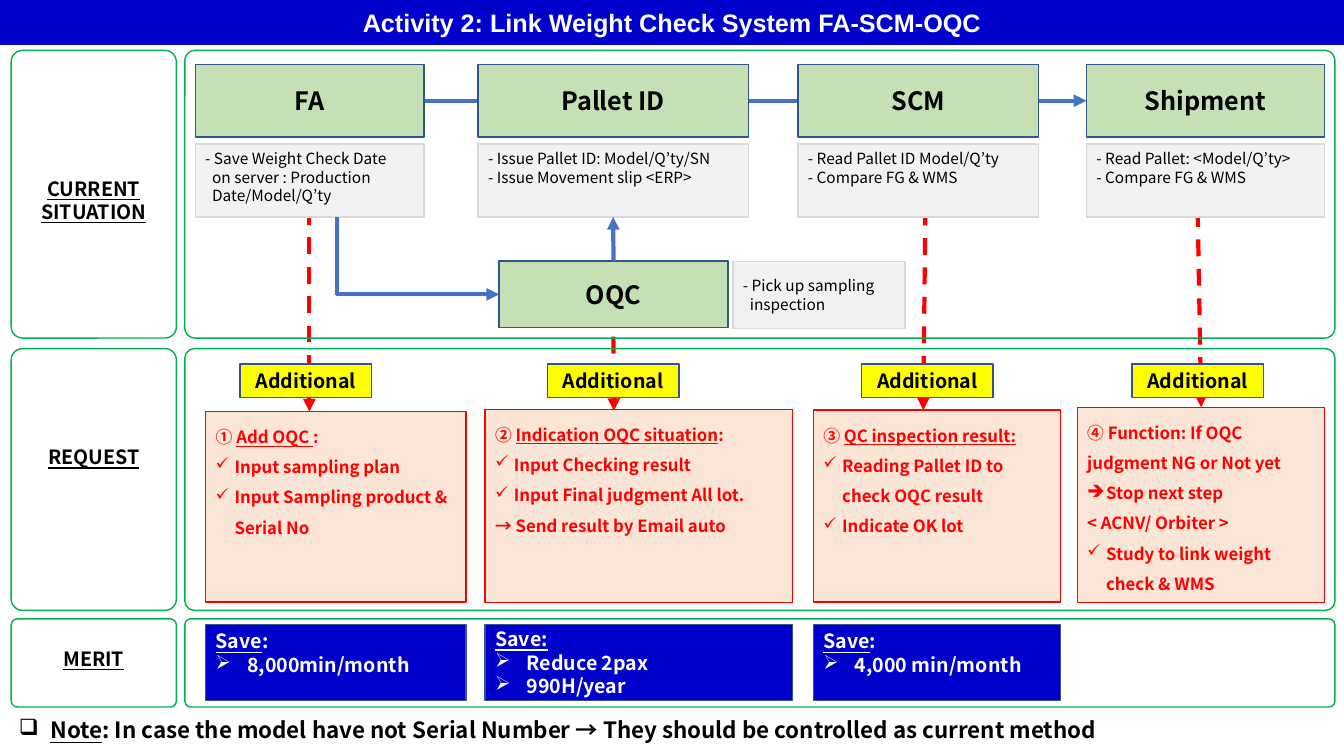
from lxml import etree
from pptx import Presentation
from pptx.dml.color import RGBColor
from pptx.enum.dml import MSO_LINE
from pptx.enum.shapes import MSO_CONNECTOR, MSO_SHAPE
from pptx.enum.text import MSO_ANCHOR, PP_ALIGN
from pptx.oxml.ns import qn
from pptx.util import Pt

RECT, ROUNDED = MSO_SHAPE.RECTANGLE, MSO_SHAPE.ROUNDED_RECTANGLE
STRAIGHT, DASH = MSO_CONNECTOR.STRAIGHT, MSO_LINE.DASH
TOP, MIDDLE = MSO_ANCHOR.TOP, MSO_ANCHOR.MIDDLE
LEFT, CENTER = PP_ALIGN.LEFT, PP_ALIGN.CENTER
SIDE_TOP, SIDE_LEFT, SIDE_BOTTOM, SIDE_RIGHT = range(4)

BLACK = RGBColor(0, 0, 0)
WHITE = RGBColor(0xFF, 0xFF, 0xFF)
RED = RGBColor(0xFF, 0, 0)
NAVY = RGBColor(0, 0, 0xCC)
BLUE = RGBColor(0x44, 0x72, 0xC4)
OUTLINE = RGBColor(0x32, 0x54, 0x91)
LEAF = RGBColor(0xC5, 0xE0, 0xB4)
GREEN = RGBColor(0, 0xB0, 0x50)
PALE_GRAY = RGBColor(0xF2, 0xF2, 0xF2)
GRAY = RGBColor(0xD9, 0xD9, 0xD9)
PEACH = RGBColor(0xFB, 0xE5, 0xD6)
YELLOW = RGBColor(0xFF, 0xFF, 0)

BODY_FONT = "Noto Sans CJK JP"
TITLE = "Activity 2: Link Weight Check System FA-SCM-OQC"

STEPS = [
    ("FA", 139.5, 163.5, ["- Save Weight Check Date\non server : Production\nDate/Model/Q’ty"]),
    ("Pallet ID", 341.5, 193, ["- Issue Pallet ID: Model/Q’ty/SN", "- Issue Movement slip <ERP>"]),
    ("SCM", 570, 172, ["- Read Pallet ID Model/Q’ty", "- Compare FG & WMS"]),
    ("Shipment", 776, 170, ["- Read Pallet: <Model/Q’ty>", "- Compare FG & WMS"]),
]
DASHED_ARROWS = [
    (221, 148.5, 221, 294), (438, 219.5, 438.5, 293.5),
    (661, 149, 659.5, 293), (855.5, 150, 858, 291),
]
ADDITIONAL_LEFTS = [171.5, 391, 615.5, 808.5]
ROWS = [
    ("CURRENT\nSITUATION", 36, 205.5, 143, 0.036),
    ("REQUEST", 249, 187, 326.5, 0.036),
    ("MERIT", 442, 63, 470.5, 0.069),
]


def para(*runs, bullet=None, hang=0):
    return runs, bullet, hang


def check(text):
    return para(text, bullet="✓", hang=13.5)


def saving(text):
    return para(text, bullet="➢", hang=22.5)


def under(text):
    return text, True


REQUESTS = [
    (147, 294, 186, 136, [
        para("① ", under("Add OQC "), ":"),
        check("Input sampling plan"),
        check("Input Sampling product & Serial No")]),
    (346.5, 292.5, 219.5, 138, [
        para("② ", under("Indication OQC situation"), ":"),
        check("Input Checking result"),
        check("Input Final judgment All lot."),
        para("→ Send result by Email auto", hang=7)]),
    (581, 293, 176.5, 137, [
        para("③ ", under("QC inspection result:")),
        check("Reading Pallet ID to check OQC result"),
        check("Indicate OK lot")]),
    (769.5, 291, 176.5, 139.5, [
        para("④ Function: If OQC judgment NG or Not yet"),
        para("Stop next step", bullet="➔", hang=13.5),
        para("< ACNV/ Orbiter >"),
        check("Study to link weight check & WMS")]),
]
MERITS = [
    (147, 186, TOP, [para(under("Save"), ":"), saving("8,000min/month")]),
    (346.5, 219.5, MIDDLE, [para(under("Save:")), saving("Reduce 2pax"), saving("990H/year")]),
    (581, 176.5, TOP, [para(under("Save"), ":"), saving("4,000 min/month")]),
]


def add_run(p, text, size, color, bold, underline, font):
    r = p.add_run()
    r.text = text
    r.font.size, r.font.name = Pt(size), font
    r.font.bold, r.font.underline = bold, underline
    r.font.color.rgb = color
    etree.SubElement(r._r.get_or_add_rPr(), qn("a:ea"), typeface=font)


def write(shape, paragraphs, size, color=BLACK, bold=True, align=LEFT,
          anchor=MIDDLE, spacing=None, font=BODY_FONT):
    tf = shape.text_frame
    tf.word_wrap = True
    tf.vertical_anchor = anchor
    for i, (runs, bullet, hang) in enumerate(paragraphs):
        p = tf.add_paragraph() if i else tf.paragraphs[0]
        p.alignment = align
        if spacing:
            p.line_spacing = spacing
        pPr = p._p.get_or_add_pPr()
        if hang:
            pPr.set("marL", str(Pt(hang)))
            pPr.set("indent", str(-Pt(hang)))
        if bullet:
            etree.SubElement(pPr, qn("a:buChar"), char=bullet)
        for run in runs:
            text, underline = (run, False) if isinstance(run, str) else run
            for j, line in enumerate(text.split("\n")):
                if j:
                    p.add_line_break()
                add_run(p, line, size, color, bold, underline, font)


def add_box(s, left, top, width, height, fill, line, kind=RECT):
    box = s.shapes.add_shape(kind, Pt(left), Pt(top), Pt(width), Pt(height))
    box.shadow.inherit = False
    if fill is None:
        box.fill.background()
    else:
        box.fill.solid()
        box.fill.fore_color.rgb = fill
    box.line.color.rgb = line
    box.line.width = Pt(1)
    return box


def add_panel(s, left, top, width, height, corner):
    add_box(s, left, top, width, height, None, GREEN, ROUNDED).adjustments[0] = corner


def add_label(s, left, top, width, height, paragraphs, size, align=LEFT):
    label = s.shapes.add_textbox(Pt(left), Pt(top), Pt(width), Pt(height))
    write(label, paragraphs, size, align=align)


def add_step(s, name, left, top, width, height):
    box = add_box(s, left, top, width, height, LEAF, OUTLINE)
    write(box, [para(name)], 18, align=CENTER)
    return box


def add_detail(s, left, top, width, height, lines, anchor=TOP):
    box = add_box(s, left, top, width, height, PALE_GRAY, GRAY)
    write(box, [para(line, hang=5) for line in lines], 11, bold=False, anchor=anchor)
    return box


def add_line(s, x1, y1, x2, y2, color, dashed=False, arrow=True):
    line = s.shapes.add_connector(STRAIGHT, Pt(x1), Pt(y1), Pt(x2), Pt(y2))
    line.line.color.rgb = color
    line.line.width = Pt(3)
    if dashed:
        line.line.dash_style = DASH
    if arrow:
        etree.SubElement(line.line._get_or_add_ln(), qn("a:tailEnd"), type="triangle")
    etree.SubElement(line.element.spPr, qn("a:effectLst"))
    return line


def add_flow(s):
    through = add_line(s, 303, 72, 776, 72, BLUE)
    boxes, details = [], []
    for name, left, width, lines in STEPS:
        boxes.append(add_step(s, name, left, 46, width, 52))
        details.append(add_detail(s, left, 103, width, 52, lines))
    through.begin_connect(boxes[0], SIDE_RIGHT)
    through.end_connect(boxes[-1], SIDE_LEFT)

    oqc = add_step(s, "OQC", 356.5, 186.5, 163.5, 47.5)
    add_detail(s, 523.5, 187, 123, 47.5, ["- Pick up sampling inspection"], MIDDLE)
    add_line(s, 241, 155, 241, 211, BLUE, arrow=False)
    add_line(s, 240, 210.25, 356.5, 210.25, BLUE).end_connect(oqc, SIDE_LEFT)
    rise = add_line(s, 438, 186.5, 438, 155, BLUE)
    rise.begin_connect(oqc, SIDE_TOP)
    rise.end_connect(details[1], SIDE_BOTTOM)


def add_title(s):
    title = s.shapes.title
    title.left, title.top, title.width, title.height = Pt(0), Pt(0), Pt(960), Pt(32)
    title.fill.solid()
    title.fill.fore_color.rgb = NAVY
    write(title, [para(TITLE)], 18, WHITE, align=CENTER, font="Arial")


def main():
    prs = Presentation()
    prs.slide_width, prs.slide_height = Pt(960), Pt(540)
    s = prs.slides.add_slide(prs.slide_layouts[5])
    add_title(s)
    for ends in DASHED_ARROWS:
        add_line(s, *ends, RED, dashed=True)
    for name, top, height, middle, corner in ROWS:
        add_panel(s, 8, top, 118, height, 0.069)
        add_panel(s, 132, top, 821.5, height, corner)
        add_label(s, 8, middle - 22.5, 118, 45, [para(under(name))], 14, CENTER)
    add_flow(s)
    for left in ADDITIONAL_LEFTS:
        tag = add_box(s, left, 260, 94, 24, YELLOW, OUTLINE)
        write(tag, [para("Additional")], 14, align=CENTER)
    for left, top, width, height, lines in REQUESTS:
        box = add_box(s, left, top, width, height, PEACH, RED)
        write(box, lines, 12, RED, anchor=TOP, spacing=1.5)
    for left, width, anchor, lines in MERITS:
        box = add_box(s, left, 446, width, 54.5, NAVY, OUTLINE)
        write(box, lines, 14, WHITE, anchor=anchor)
    note = para(under("Note"), ": In case the model have not Serial Number → "
                "They should be controlled as current method", bullet="❑", hang=22.5)
    add_label(s, 6.5, 505.5, 947, 31.5, [note], 16)
    prs.save("out.pptx")


if __name__ == "__main__":
    main()
